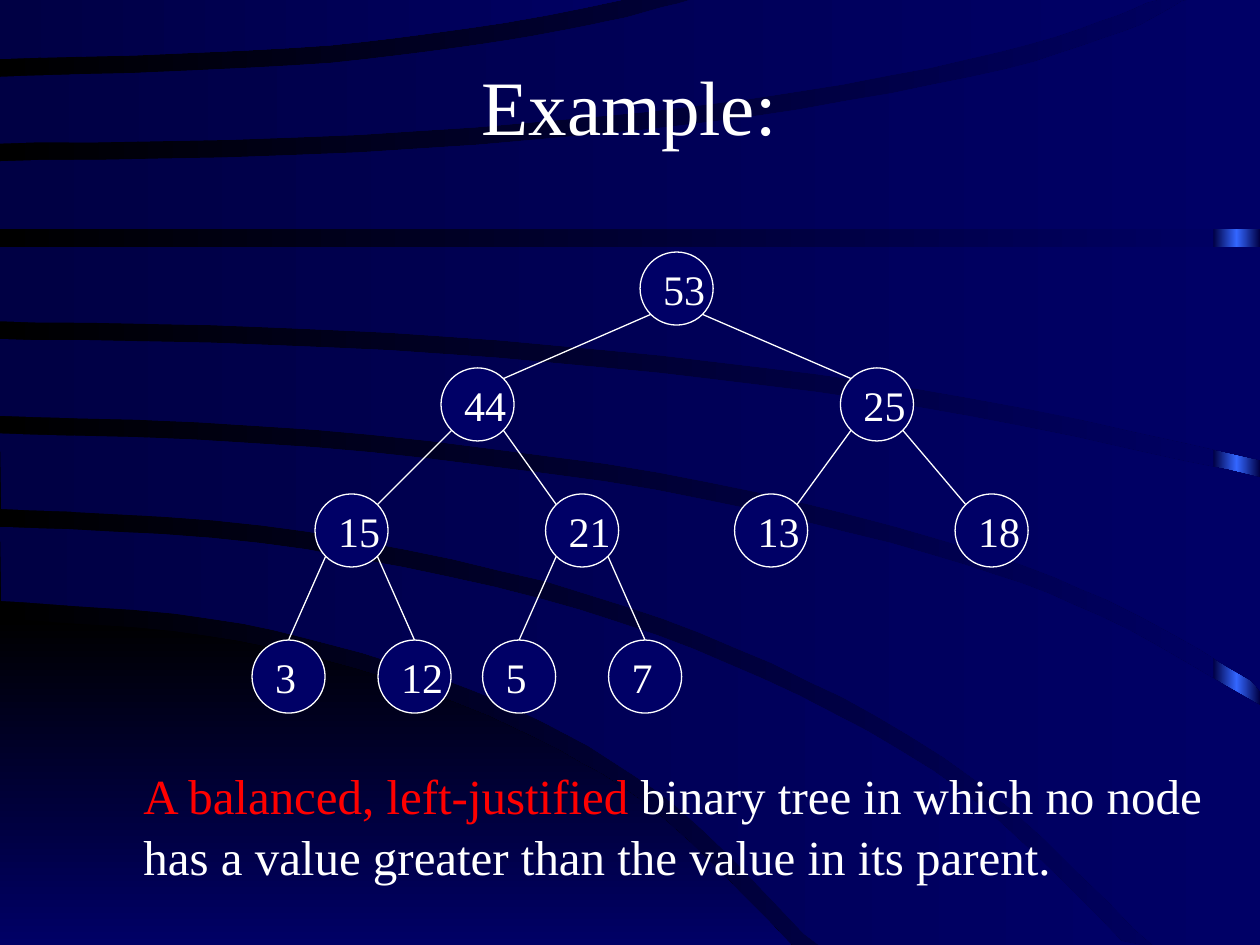
from copy import deepcopy
from math import hypot
from pptx import Presentation
from pptx.dml.color import RGBColor
from pptx.enum.shapes import MSO_CONNECTOR as LINE, MSO_SHAPE as SHAPE
from pptx.enum.text import MSO_ANCHOR as ANCHOR, PP_ALIGN as ALIGN
from pptx.oxml.ns import qn
from pptx.oxml.xmlchemy import OxmlElement
from pptx.util import Pt

PX = 9144  # 100 px to the inch
WIDTH, HEIGHT = 1000, 750
FONT = "Times New Roman"
BLACK = RGBColor(0x00, 0x00, 0x00)
DARK = RGBColor(0x00, 0x00, 0x44)
NAVY = RGBColor(0x00, 0x00, 0x66)
BRIGHT = RGBColor(0x33, 0x66, 0xFF)
WHITE = RGBColor(0xFF, 0xFF, 0xFF)
RED = RGBColor(0xFF, 0x00, 0x00)

# Upper edges of the background sweeps, from the lowest to the highest
ARCS = [
    [(0, 491), (165, 505), (305, 538), (425, 586), (528, 651), (640, 763)],
    [(0, 418), (206, 431), (428, 475), (606, 539), (766, 630), (905, 762)],
    [(0, 344), (249, 355), (521, 389), (738, 440), (873, 489), (1000, 560)],
    [(0, 269), (265, 276), (523, 296), (768, 330), (1000, 379)],
    [(0, 196), (1000, 196)],
    [(0, 128), (286, 121), (554, 98), (771, 61), (892, 25), (943, -2)],
    [(0, 61), (233, 52), (383, 35), (482, 17), (556, -2)],
]
GAP = 14  # width of the dark stripe between two sweeps

# Heap in level order: the children of item i are items 2i + 1 and 2i + 2
HEAP = [53, 44, 25, 15, 21, 13, 18, 3, 12, 5, 7]
LEFTS = [508, 350, 667, 250, 433, 583, 758, 200, 300, 383, 483]
LEVEL_TOPS = [200, 292, 392, 508]
NODE = 58
CORNER = 8.5  # inset of the circle's diagonal points


def level_of(index):
    return (index + 1).bit_length() - 1


def smooth(points, steps=6):
    """Catmull-Rom curve through the points."""
    padded = [points[0], *points, points[-1]]
    curve = []
    for a, b, c, d in zip(padded, padded[1:], padded[2:], padded[3:]):
        for step in range(steps):
            t = step / steps
            curve.append(tuple(
                q + t / 2 * (r - p + t * (2 * p - 5 * q + 4 * r - s
                                          + t * (3 * q - p - 3 * r + s)))
                for p, q, r, s in zip(a, b, c, d)))
    return curve + [points[-1]]


def raise_curve(curve):
    """Shift the curve by GAP along its upward normal."""
    raised = []
    for i, (x, y) in enumerate(curve):
        (x1, y1), (x2, y2) = curve[max(i - 1, 0)], curve[min(i + 1, len(curve) - 1)]
        length = hypot(x2 - x1, y2 - y1)
        raised.append((x + GAP * (y2 - y1) / length, y - GAP * (x2 - x1) / length))
    return raised


def clip(points):
    return [(min(max(x, 0), WIDTH), min(max(y, 0), HEIGHT)) for x, y in points]


def set_gradient(fill, start, end, angle=0):
    fill.gradient()
    fill.gradient_angle = angle
    for stop, color in zip(fill.gradient_stops, (start, end)):
        stop.color.rgb = color


def add_sweep(page, upper, lower, start=DARK, angle=0):
    upper, lower = clip(upper), clip(lower)
    (x1, y1), (x2, y2) = upper[-1], lower[-1]
    corner = (max(x1, x2), max(y1, y2) if y1 > 0 else 0)
    first, *rest = [*upper, corner, *reversed(lower)]
    builder = page.shapes.build_freeform(*first, scale=PX)
    builder.add_line_segments(rest, close=True)
    sweep = builder.convert_to_shape()
    sweep.shadow.inherit = False
    sweep.line.fill.background()
    set_gradient(sweep.fill, start, NAVY, angle)


def add_glow_bar(page):
    bar = page.shapes.add_shape(SHAPE.RECTANGLE, 963 * PX, 0, 37 * PX, HEIGHT * PX)
    bar.shadow.inherit = False
    bar.line.fill.background()
    set_gradient(bar.fill, DARK, BRIGHT)
    # A third stop returns to the dark edge colour
    first, last = bar._element.iter(qn("a:gs"))
    last.addnext(deepcopy(first))
    for stop, position in zip(bar.fill.gradient_stops, (0, 0.5, 1)):
        stop.position = position


def add_background(page):
    set_gradient(page.background.fill, BLACK, NAVY)
    add_glow_bar(page)
    curves = [smooth(arc) for arc in ARCS]
    add_sweep(page, curves[0], [(0, HEIGHT)], BLACK, 270)
    for upper, below in zip([*curves[1:], [(0, 0)]], curves):
        add_sweep(page, upper, raise_curve(below))


def style_span(span, size, color=WHITE):
    span.font.name = FONT
    span.font.size = Pt(size)
    span.font.color.rgb = color


def add_text(page, left, top, width, height, lines, size):
    """Each line is a list of (text, color) spans."""
    box = page.shapes.add_textbox(left * PX, top * PX, width * PX, height * PX)
    frame = box.text_frame
    frame.word_wrap = True
    for number, spans in enumerate(lines):
        para = frame.add_paragraph() if number else frame.paragraphs[0]
        for text, color in spans:
            span = para.add_run()
            span.text = text
            style_span(span, size, color)
    return frame


def add_node(page, index):
    left, top = LEFTS[index], LEVEL_TOPS[level_of(index)]
    node = page.shapes.add_shape(
        SHAPE.FLOWCHART_CONNECTOR, left * PX, top * PX, NODE * PX, NODE * PX)
    node.shadow.inherit = False
    node.fill.solid()
    node.fill.fore_color.rgb = NAVY
    node.line.color.rgb = WHITE
    node.line.width = Pt(0.75)
    frame = node.text_frame
    frame.word_wrap = False
    frame.vertical_anchor = ANCHOR.MIDDLE
    frame.text = str(HEAP[index])
    para = frame.paragraphs[0]
    para.alignment = ALIGN.LEFT
    style_span(para.runs[0], 24)


def add_edge(page, child):
    parent = (child - 1) // 2
    is_left = child % 2 == 1
    near, far = CORNER, NODE - CORNER
    x1 = LEFTS[parent] + (near if is_left else far)
    y1 = LEVEL_TOPS[level_of(parent)] + far
    x2 = LEFTS[child] + (far if is_left else near)
    y2 = LEVEL_TOPS[level_of(child)] + near
    if level_of(child) == 3:  # steep edges end at the top of the circle
        x2, y2 = LEFTS[child] + NODE / 2, y2 - near
    edge = page.shapes.add_connector(
        LINE.STRAIGHT, *(round(value * PX) for value in (x1, y1, x2, y2)))
    edge.line.color.rgb = WHITE
    edge.line.width = Pt(0.75)
    edge._element.spPr.append(OxmlElement("a:effectLst"))


def main():
    deck = Presentation()
    deck.slide_width, deck.slide_height = WIDTH * PX, HEIGHT * PX
    page = deck.slides.add_slide(deck.slide_layouts[6])
    add_background(page)

    # Title
    title = add_text(page, 33, 42, 933, 83, [[("Example:", WHITE)]], 44)
    title.vertical_anchor = ANCHOR.MIDDLE
    title.paragraphs[0].alignment = ALIGN.CENTER

    # Tree
    for index in range(len(HEAP)):
        add_node(page, index)
    for child in range(1, len(HEAP)):
        add_edge(page, child)

    # Definition
    definition = add_text(page, 104, 600, 872, 150, [
        [("A balanced, left-justified ", RED), ("binary tree in which no node", WHITE)],
        [("has a value greater than the value in its parent.", WHITE)]], 28)
    for para in definition.paragraphs:
        para.line_spacing = 1.05

    deck.save("out.pptx")


if __name__ == "__main__":
    main()
